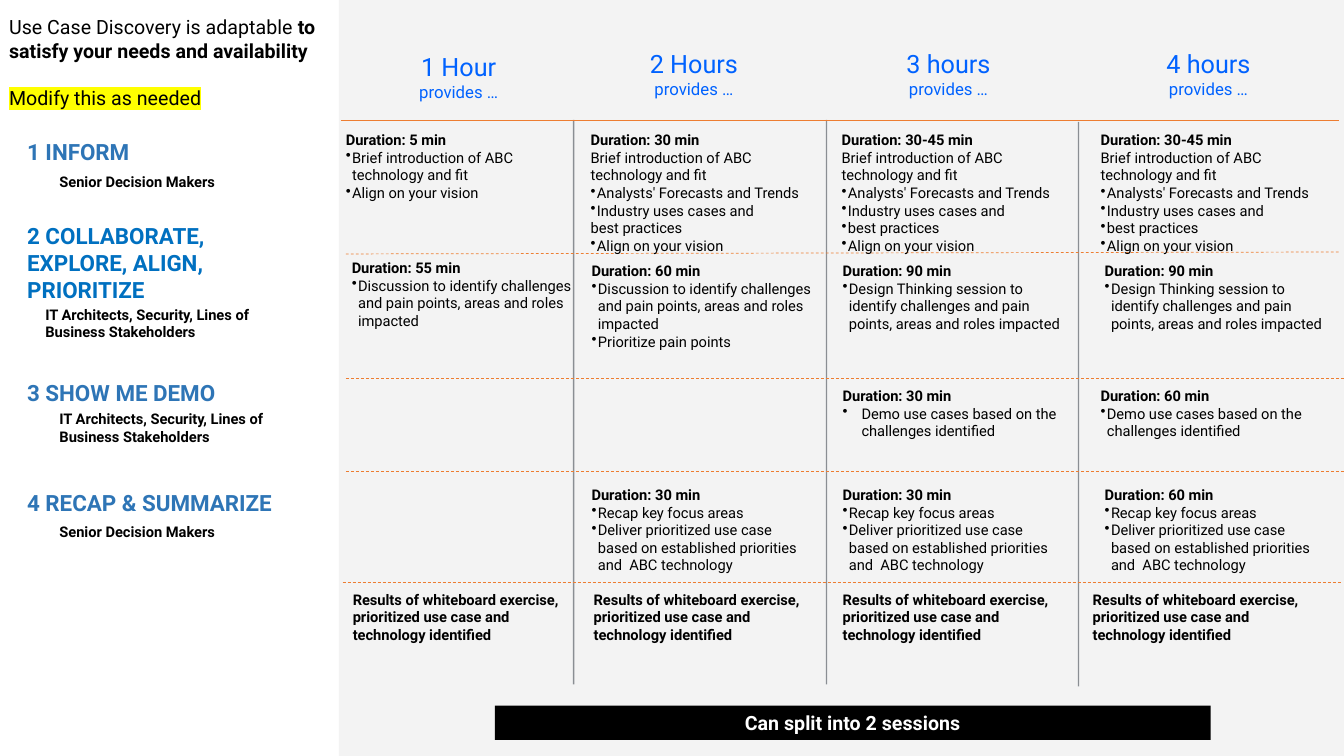
from lxml import etree
from pptx import Presentation
from pptx.dml.color import RGBColor
from pptx.enum import dml, shapes, text
from pptx.oxml.ns import qn
from pptx.util import Pt


class Theme:
    font = "Roboto"
    black = RGBColor.from_string("000000")
    white = RGBColor.from_string("FFFFFF")
    panel = RGBColor.from_string("F3F3F3")
    hours = RGBColor.from_string("0062FF")
    stage = RGBColor.from_string("2E75B6")
    stage_strong = RGBColor.from_string("0070C0")
    rule = RGBColor.from_string("ED7D31")
    divider = RGBColor.from_string("222A35")
    highlight = "FFFF00"
    body, provides, lead, stage_size, hours_size = 10.5, 12, 14, 16, 18


def add_text(box, lines, insets=(0, 0), anchor=text.MSO_ANCHOR.TOP,
             align=text.PP_ALIGN.LEFT, bullet_indent=4.5):
    """Fill box with (wording, size, bold, colour) lines; a leading • makes a bullet."""
    left, top, width, height = box
    frame = slide.shapes.add_textbox(Pt(left), Pt(top), Pt(width), Pt(height)).text_frame
    frame.word_wrap = True
    frame.margin_top = frame.margin_bottom = 0
    frame.margin_left, frame.margin_right = Pt(insets[0]), Pt(insets[1])
    frame.vertical_anchor = anchor
    for i, (wording, size, bold, colour) in enumerate(lines):
        line = frame.paragraphs[0] if i == 0 else frame.add_paragraph()
        line.text = wording.removeprefix("•")
        line.alignment = align
        if wording.startswith("•"):
            properties = line._p.get_or_add_pPr()
            properties.set("marL", str(Pt(bullet_indent)))
            properties.set("indent", str(-Pt(bullet_indent)))
            etree.SubElement(properties, qn("a:buChar"), char="•")
        line.font.name, line.font.size = Theme.font, Pt(size)
        line.font.bold, line.font.color.rgb = bold, colour


def add_rule(x1, y1, x2, y2, colour, weight):
    rule = slide.shapes.add_connector(shapes.MSO_CONNECTOR.STRAIGHT,
                                      Pt(x1), Pt(y1), Pt(x2), Pt(y2))
    rule.line.color.rgb, rule.line.width = colour, Pt(weight)
    etree.SubElement(rule._element.spPr, qn("a:effectLst"))
    return rule


deck = Presentation()
deck.slide_width, deck.slide_height = Pt(960), Pt(540)
slide = deck.slides.add_slide(deck.slide_layouts[5])

# Grey panel and session bar
for box, fill, label in [((242, 0, 718, 540), Theme.panel, ""),
                         ((353.5, 504, 511.2, 24.5), Theme.black, "Can split into 2 sessions")]:
    left, top, width, height = box
    block = slide.shapes.add_shape(shapes.MSO_SHAPE.RECTANGLE,
                                   Pt(left), Pt(top), Pt(width), Pt(height))
    block.shadow.inherit = False
    block.fill.solid()
    block.fill.fore_color.rgb = fill
    block.line.fill.background()
    if label:
        caption = block.text_frame.paragraphs[0]
        caption.text, caption.alignment = label, text.PP_ALIGN.CENTER
        caption.font.name, caption.font.size = Theme.font, Pt(Theme.lead)
        caption.font.bold, caption.font.color.rgb = True, Theme.white

# Title
title = slide.shapes.title
title.left, title.top, title.width, title.height = Pt(6.5), Pt(10.8), Pt(235.4), Pt(76.3)
message = title.text_frame
message.word_wrap, message.auto_size = True, text.MSO_AUTO_SIZE.NONE
message.vertical_anchor = text.MSO_ANCHOR.TOP
message.margin_left = message.margin_right = message.margin_top = message.margin_bottom = 0
promise, reminder = message.paragraphs[0], message.add_paragraph()
reminder.space_before = Pt(16.8)
for line, wording, bold in [(promise, "Use Case Discovery is adaptable ", False),
                            (promise, "to satisfy your needs and availability", True),
                            (reminder, "Modify this as needed", False)]:
    line.alignment = text.PP_ALIGN.LEFT
    part = line.add_run()
    part.text = wording
    part.font.name, part.font.size = Theme.font, Pt(Theme.lead)
    part.font.bold, part.font.color.rgb = bold, Theme.black
    if line is reminder:
        marker = etree.Element(qn("a:highlight"))
        etree.SubElement(marker, qn("a:srgbClr"), val=Theme.highlight)
        part.font._element.find(qn("a:solidFill")).addnext(marker)

# Stages and their audiences
architects = "IT Architects, Security, Lines of Business Stakeholders"
stages = [
    ("1 INFORM", 88.6, 38.9, Theme.stage, "Senior Decision Makers", 38.9, 123.8),
    ("2 COLLABORATE, EXPLORE, ALIGN, PRIORITIZE", 172, 31, Theme.stage_strong,
     architects, 28.8, 218.2),
    ("3 SHOW ME DEMO", 269.3, 21.6, Theme.stage, architects, 38.9, 293),
    ("4 RECAP & SUMMARIZE", 348.5, 21.6, Theme.stage, "Senior Decision Makers", 38.9, 373.7),
]
for stage, top, height, colour, audience, audience_left, audience_top in stages:
    add_text((19.4, top, 215.3, height), [(stage, Theme.stage_size, True, colour)],
             insets=(0, 30.2), anchor=text.MSO_ANCHOR.MIDDLE)
    add_text((audience_left, audience_top, 151.2, 30),
             [(audience, Theme.body, True, Theme.black)], insets=(3.6, 0))

# Column headings
for hours, left, top, width in [("1 Hour", 247, 36.7, 161.3), ("2 Hours", 417.6, 34.6, 156.2),
                                ("3 hours", 598.3, 34.6, 158.4), ("4 hours", 779, 34.6, 168.5)]:
    add_text((left, top, width, 41),
             [(hours, Theme.hours_size, False, Theme.hours),
              ("provides …", Theme.provides, False, Theme.hours)],
             align=text.PP_ALIGN.CENTER)

# Grid lines
for x, top in [(409.7, 85.7), (590.4, 85.7), (770.4, 87.1)]:
    divider = add_rule(x, top, x, top + 403.2, Theme.divider, 1)
    shade = divider.line._ln.find(".//" + qn("a:srgbClr"))
    etree.SubElement(shade, qn("a:alpha"), val="50000")

add_rule(243.4, 85.7, 956.2, 85.7, Theme.rule, 0.5)
for x1, y1, x2, y2 in [(247, 181.4, 956.2, 180), (247, 270, 960, 270),
                       (247, 337, 960, 337), (244.8, 416.2, 957.6, 416.2)]:
    add_rule(x1, y1, x2, y2, Theme.rule, 0.5).line.dash_style = dml.MSO_LINE.DASH

# Agenda cells: left, top, width, bullet indent, duration, details
intro = "Brief introduction of ABC technology and fit"
vision = "•Align on your vision"
trends = [intro, "•Analysts' Forecasts and Trends", "•Industry uses cases and"]
discussion = "•Discussion to identify challenges and pain points, areas and roles impacted"
workshop = ["•Design Thinking session to identify challenges and pain points, "
            "areas and roles impacted"]
demo = ["•Demo use cases based on the challenges identified"]
recap = ["•Recap key focus areas",
         "•Deliver prioritized use case based on established priorities and  ABC technology"]
cells = [
    (243.4, 93.6, 167, 4.5, "5 min", ["•" + intro, vision]),
    (418.3, 93.6, 169.2, 4.5, "30 min", trends + ["best practices", vision]),
    (597.6, 93.6, 169.2, 4.5, "30-45 min", trends + ["•best practices", vision]),
    (782.6, 93.6, 169.2, 4.5, "30-45 min", trends + ["•best practices", vision]),
    (247.7, 185, 162.7, 4.5, "55 min", [discussion]),
    (419, 187.2, 162.7, 4.5, "60 min", [discussion, "•Prioritize pain points"]),
    (598.3, 187.2, 162.7, 4.5, "90 min", workshop),
    (785.5, 187.2, 162.7, 4.5, "90 min", workshop),
    (598.3, 276.5, 162.7, 13.5, "30 min", demo),
    (782.6, 276.5, 162.7, 4.5, "60 min", demo),
    (419, 347, 162.7, 4.5, "30 min", recap),
    (598.3, 347, 162.7, 4.5, "30 min", recap),
    (785.5, 347, 162.7, 4.5, "60 min", recap),
]
for left, top, width, indent, duration, details in cells:
    add_text((left, top, width, 80),
             [("Duration: " + duration, Theme.body, True, Theme.black)]
             + [(detail, Theme.body, False, Theme.black) for detail in details],
             insets=(3.6, 0), bullet_indent=indent)

# Results row
for left in (248.4, 420.5, 598.3, 776.9):
    add_text((left, 421.9, 168.5, 62),
             [("Results of whiteboard exercise, prioritized use case and technology identified",
               Theme.body, True, Theme.black)], insets=(3.6, 0))

deck.save("out.pptx")
